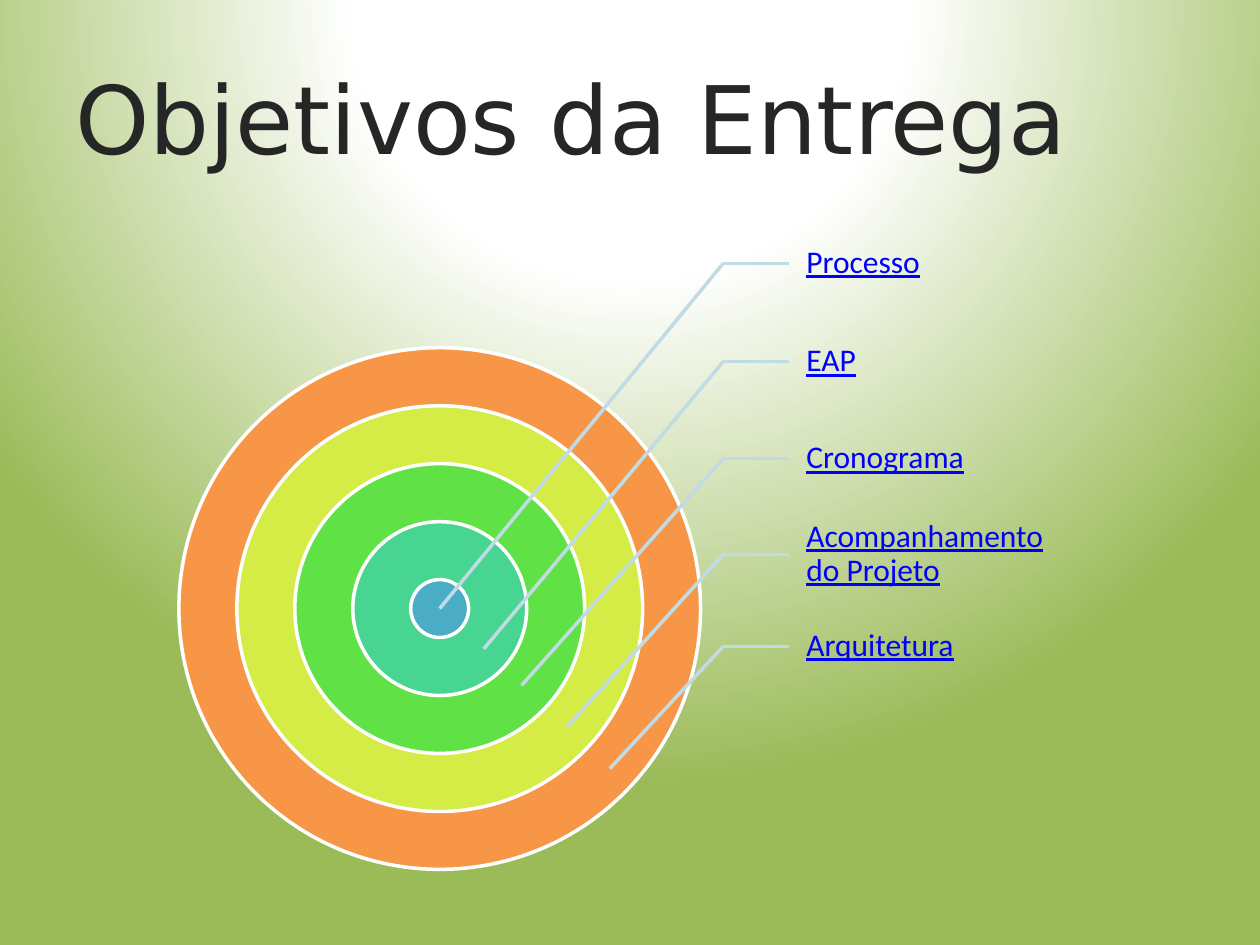
from lxml.etree import SubElement
from pptx import Presentation
from pptx.dml.color import RGBColor
from pptx.enum.shapes import MSO_CONNECTOR, MSO_SHAPE
from pptx.enum.text import MSO_ANCHOR, PP_ALIGN
from pptx.oxml import parse_xml
from pptx.oxml.ns import nsdecls, qn
from pptx.util import Inches, Pt

WHITE = RGBColor(0xFF, 0xFF, 0xFF)
GREEN = RGBColor(0x9B, 0xBB, 0x59)
TITLE_INK = RGBColor(0x26, 0x26, 0x26)
LINK_BLUE = RGBColor(0x00, 0x00, 0xFF)
LEADER = RGBColor(0xC1, 0xDB, 0xE5)
RING_COLORS = [  # outermost first
    RGBColor(0xF7, 0x96, 0x46),
    RGBColor(0xD5, 0xEC, 0x46),
    RGBColor(0x60, 0xE1, 0x46),
    RGBColor(0x48, 0xD4, 0x91),
    RGBColor(0x4B, 0xAC, 0xC6),
]

CENTER_X, CENTER_Y = 3.49, 4.83
CORE_RADIUS, RING_STEP = 0.23, 0.46
ELBOW_X, LABEL_X = 5.74, 6.26
LABEL_WIDTH, LABEL_HEIGHT = 2.07, 0.73

# label, its middle height, and the point on the target it refers to
GOALS = [
    ("Processo", 2.09, (CENTER_X, CENTER_Y)),
    ("EAP", 2.87, (3.84, 5.15)),
    ("Cronograma", 3.64, (4.14, 5.44)),
    ("Acompanhamento do Projeto", 4.4, (4.5, 5.77)),
    ("Arquitetura", 5.13, (4.84, 6.1)),
]


def paint_background(slide):
    """Fill the background with a white glow that fades to green."""
    slide.background.fill.gradient()
    gradient = slide.element.find(".//" + qn("a:gradFill"))
    stops = "".join(
        f'<a:gs pos="{position * 1000}"><a:srgbClr val="{color}"/></a:gs>'
        for position, color in [(0, WHITE), (35, WHITE), (100, GREEN)]
    )
    glow = parse_xml(
        f'<a:gradFill {nsdecls("a")} rotWithShape="1"><a:gsLst>{stops}</a:gsLst>'
        '<a:path path="circle"><a:fillToRect l="50000" t="-80000" r="50000" b="180000"/>'
        "</a:path></a:gradFill>"
    )
    gradient.getparent().replace(gradient, glow)


def add_text(slide, text, left, top, width, height, *, size, font, color,
             align=PP_ALIGN.LEFT, underline=None, spacing=None,
             insets=(0.1, 0.05, 0.1, 0.05)):
    """Add a wrapped, vertically centred line of text."""
    frame = slide.shapes.add_textbox(
        Inches(left), Inches(top), Inches(width), Inches(height)).text_frame
    frame.word_wrap = True
    frame.vertical_anchor = MSO_ANCHOR.MIDDLE
    (frame.margin_left, frame.margin_top,
     frame.margin_right, frame.margin_bottom) = map(Inches, insets)
    paragraph = frame.paragraphs[0]
    paragraph.alignment = align
    paragraph.line_spacing = spacing
    run = paragraph.add_run()
    run.text = text
    run.font.size = Pt(size)
    run.font.name = font
    run.font.color.rgb = color
    run.font.underline = underline


def add_ring(slide, radius, color):
    """Add one disc of the target around the shared centre."""
    ring = slide.shapes.add_shape(
        MSO_SHAPE.OVAL, Inches(CENTER_X - radius), Inches(CENTER_Y - radius),
        Inches(2 * radius), Inches(2 * radius))
    ring.shadow.inherit = False
    ring.fill.solid()
    ring.fill.fore_color.rgb = color
    ring.line.color.rgb = WHITE
    ring.line.width = Pt(2)


def add_leader(slide, start, end):
    """Add one straight piece of a leader line."""
    leader = slide.shapes.add_connector(
        MSO_CONNECTOR.STRAIGHT, *map(Inches, (*start, *end)))
    leader.line.color.rgb = LEADER
    leader.line.width = Pt(2)
    SubElement(leader.element.spPr, qn("a:effectLst"))


def add_goal(slide, label, middle, target):
    """Add a label with the bent leader that ties it to the target."""
    add_text(slide, label, LABEL_X, middle - LABEL_HEIGHT / 2, LABEL_WIDTH,
             LABEL_HEIGHT, size=18, font="Calibri", color=LINK_BLUE,
             underline=True, spacing=0.9, insets=(0.14, 0.03, 0.03, 0.03))
    elbow = (ELBOW_X, middle)
    add_leader(slide, elbow, (LABEL_X, middle))
    add_leader(slide, elbow, target)


def main():
    """Build the slide and save it."""
    deck = Presentation()
    deck.slide_width, deck.slide_height = Inches(10), Inches(7.5)
    slide = deck.slides.add_slide(deck.slide_layouts[6])
    paint_background(slide)
    add_text(slide, "Objetivos da Entrega", 0.5, 0.3, 9, 1.25, size=54,
             font="DejaVu Sans", color=TITLE_INK, align=PP_ALIGN.JUSTIFY)
    outermost = len(RING_COLORS) - 1
    for index, color in enumerate(RING_COLORS):
        add_ring(slide, CORE_RADIUS + RING_STEP * (outermost - index), color)
    for goal in GOALS:
        add_goal(slide, *goal)
    deck.save("out.pptx")


main()
